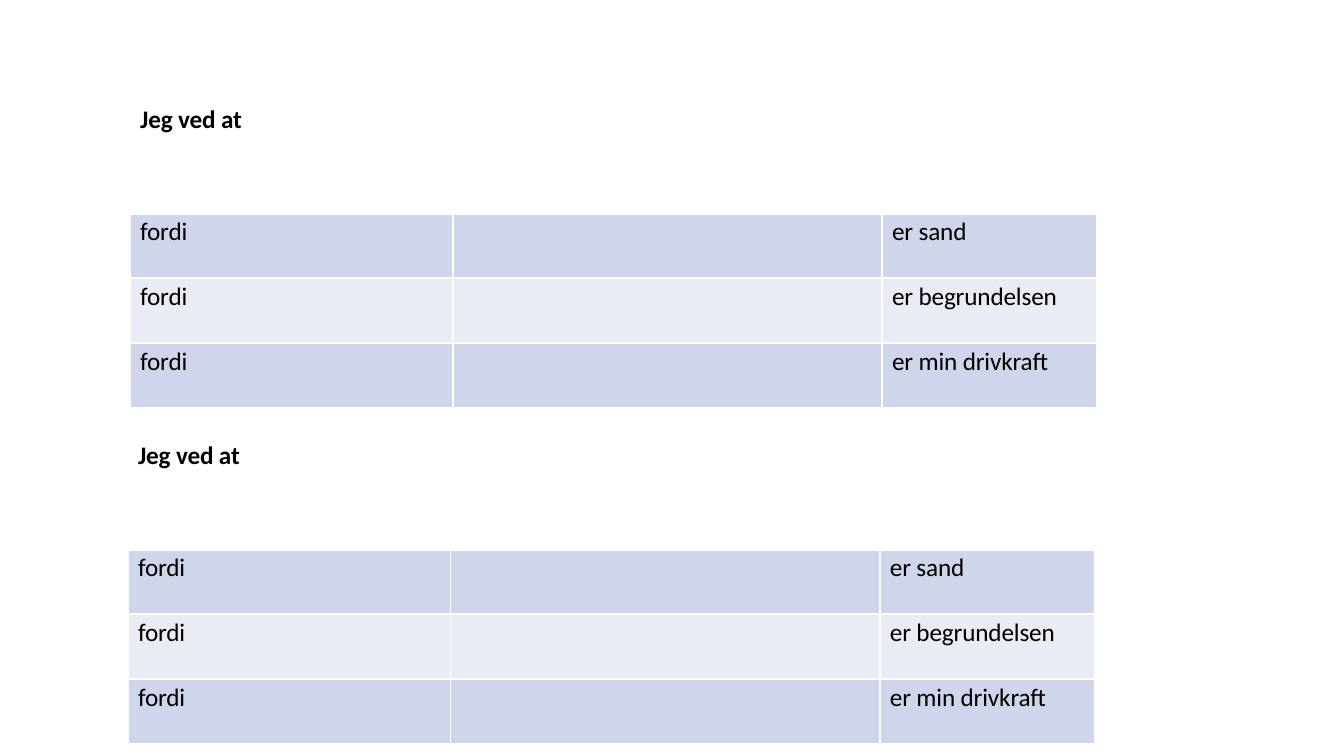
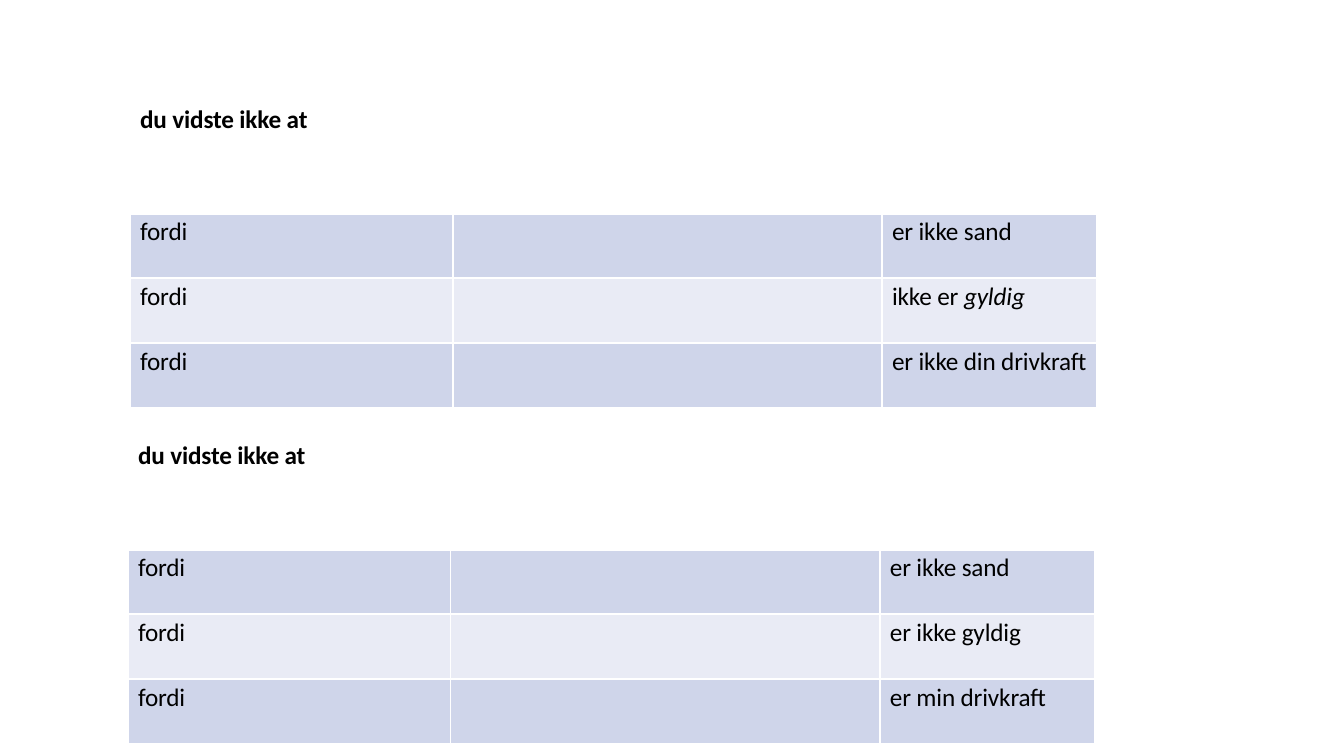
from lxml import etree
from pptx import Presentation
from pptx.dml.color import RGBColor
from pptx.oxml import ns
from pptx.util import Pt

FONT = "Calibri"
BLACK, WHITE, BLUE, PALE = "000000", "FFFFFF", "CFD5EA", "E9EBF5"
COLUMN_WIDTHS = (230.4, 306.7, 153.9)
HEADER_HEIGHT, ROW_HEIGHT = 80, 46.5
TABLE_WIDTH = sum(COLUMN_WIDTHS)
THIN, THICK = 1.5, 4.25

# Upper and lower table position: left, top
TABLE_PLACES = ((92.9, 72), (91.4, 312))

# One entry per slide: heading, then the endings of each table.
# An ending is a list of (text, italic) spans.
PAGES = (
    ("Jeg ved at", (
        ([("er sand", False)], [("er begrundelsen", False)],
         [("er min drivkraft", False)]),
        ([("er sand", False)], [("er begrundelsen", False)],
         [("er min drivkraft", False)]),
    )),
    ("du vidste ikke at", (
        ([("er ikke sand", False)], [("ikke er ", False), ("gyldig", True)],
         [("er ikke din drivkraft", False)]),
        ([("er ikke sand", False)], [("er ikke gyldig", False)],
         [("er min drivkraft", False)]),
    )),
)


def color(value):
    return RGBColor.from_string(value)


def add_span(para, text, bold=False, italic=False, size=18, spacing=-0.1):
    span = para.add_run()
    span.text = text
    font = span.font
    font.name, font.size = FONT, Pt(size)
    font.bold, font.italic = bold, italic
    font.color.rgb = color(BLACK)
    span._r.get_or_add_rPr().set("spc", str(round(spacing * 100)))


def style_cell(cell, fill, top=THIN, bottom=THIN):
    cell.margin_left, cell.margin_top = Pt(7.2), Pt(2.8)
    cell.margin_right = cell.margin_bottom = 0
    # White borders come before the fill
    properties = cell._tc.get_or_add_tcPr()
    for side, width in (("L", THIN), ("R", THIN), ("T", top), ("B", bottom)):
        line = etree.SubElement(properties, ns.qn(f"a:ln{side}"), w=str(Pt(width)))
        solid = etree.SubElement(line, ns.qn("a:solidFill"))
        etree.SubElement(solid, ns.qn("a:srgbClr"), val=WHITE)
    cell.fill.solid()
    cell.fill.fore_color.rgb = color(fill)


def add_reason_table(page, left, top, heading, endings):
    row_count = len(endings) + 1
    height = HEADER_HEIGHT + ROW_HEIGHT * len(endings)
    table = page.shapes.add_table(
        row_count, len(COLUMN_WIDTHS),
        Pt(left), Pt(top), Pt(TABLE_WIDTH), Pt(height)).table
    table.first_row = table.horz_banding = False
    for column, width in zip(table.columns, COLUMN_WIDTHS):
        column.width = Pt(width)

    # Row heights, fills and borders
    for index, row in enumerate(table.rows):
        row.height = Pt(ROW_HEIGHT if index else HEADER_HEIGHT)
        fill = WHITE if index == 0 else (PALE, BLUE)[index % 2]
        for cell in row.cells:
            style_cell(cell, fill,
                       top=THICK if index == 1 else THIN,
                       bottom=THICK if index == 0 else THIN)
            cell.text_frame.paragraphs[0].font.size = Pt(18)

    # Heading, reasons and endings
    def para_at(row, column):
        return table.cell(row, column).text_frame.paragraphs[0]

    add_span(para_at(0, 0), heading, bold=True)
    for index, ending in enumerate(endings, start=1):
        add_span(para_at(index, 0), "fordi")
        for text, italic in ending:
            add_span(para_at(index, 2), text, italic=italic)


def main():
    deck = Presentation()
    deck.slide_width, deck.slide_height = Pt(960), Pt(540)
    for heading, tables in PAGES:
        page = deck.slides.add_slide(deck.slide_layouts[6])
        for (left, top), endings in zip(TABLE_PLACES, tables):
            add_reason_table(page, left, top, heading, endings)
    deck.save("out.pptx")


if __name__ == "__main__":
    main()
